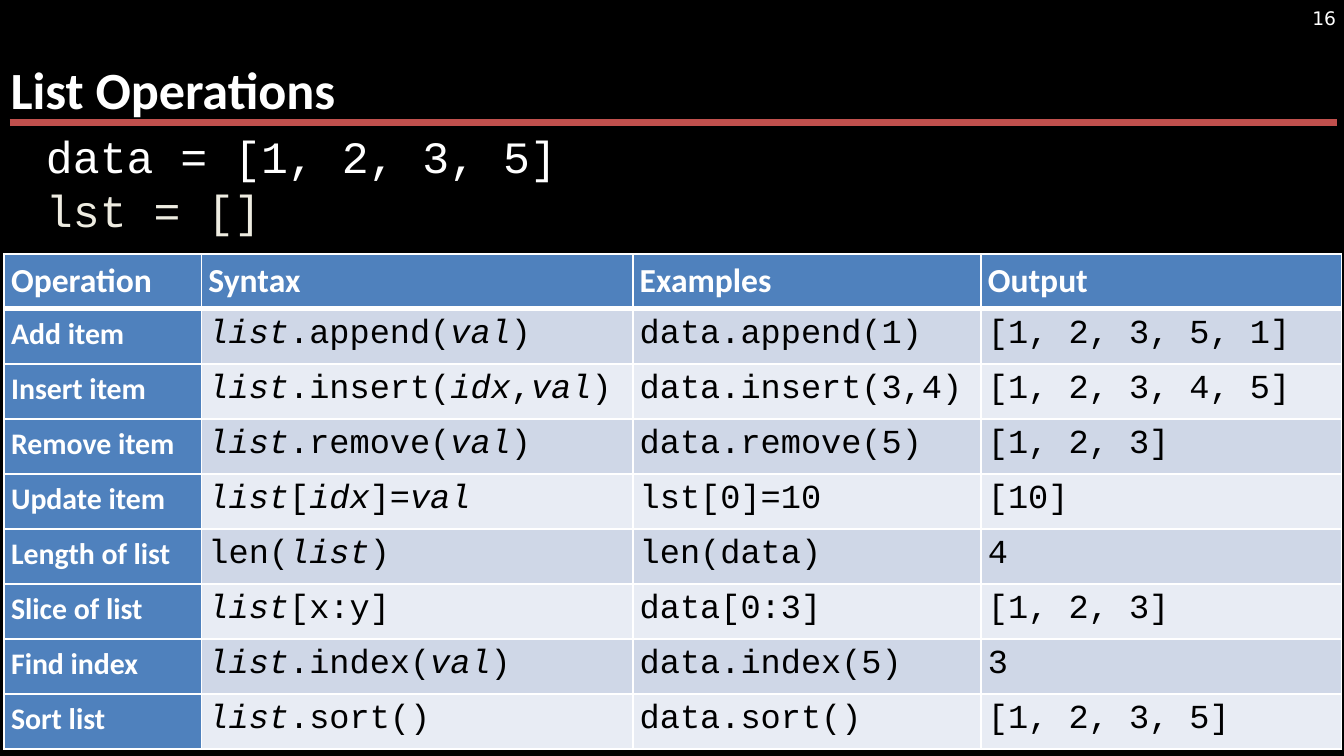
from lxml import etree
from pptx import Presentation
from pptx import util as u
from pptx.dml.color import RGBColor
from pptx.enum import shapes, text
from pptx.oxml import ns

BLACK = RGBColor(0x00, 0x00, 0x00)
WHITE = RGBColor(0xFF, 0xFF, 0xFF)
CREAM = RGBColor(0xEE, 0xEC, 0xE1)
RED = RGBColor(0xC0, 0x50, 0x4D)
BLUE = RGBColor(0x4F, 0x81, 0xBD)
BANDS = (RGBColor(0xE8, 0xEC, 0xF4), RGBColor(0xCF, 0xD7, 0xE7))


class ListSlide:
    """Style and drawing methods for one dark slide with a code table."""

    heading, code, number = "Calibri", "Courier New", "DejaVu Sans"
    inset = u.Cm(0.13)

    def __init__(self, deck):
        self.slide = deck.slides.add_slide(deck.slide_layouts[6])
        backdrop = self.slide.background.fill
        backdrop.solid()
        backdrop.fore_color.rgb = BLACK

    def run(self, paragraph, words, size, font, color, bold=False, italic=False):
        run = paragraph.add_run()
        run.text = words
        run.font.size = u.Pt(size)
        run.font.name = font
        run.font.color.rgb = color
        run.font.bold = bold
        run.font.italic = italic

    def label(self, box, lines, size, font, bold=False, inset=inset, wrap=True,
              anchor=text.MSO_ANCHOR.TOP, align=text.PP_ALIGN.LEFT, spacing=None):
        frame = self.slide.shapes.add_textbox(*map(u.Cm, box)).text_frame
        frame.word_wrap = wrap
        frame.vertical_anchor = anchor
        frame.margin_left = frame.margin_right = inset
        frame.margin_top = frame.margin_bottom = inset
        for index, (words, color) in enumerate(lines):
            paragraph = frame.add_paragraph() if index else frame.paragraphs[0]
            paragraph.alignment = align
            paragraph.line_spacing = spacing
            self.run(paragraph, words, size, font, color, bold)

    def rule(self, left, right, top, color, weight):
        line = self.slide.shapes.add_connector(
            shapes.MSO_CONNECTOR.STRAIGHT, u.Cm(left), u.Cm(top), u.Cm(right), u.Cm(top))
        line.line.color.rgb = color
        line.line.width = u.Pt(weight)
        etree.SubElement(line._element.spPr, ns.qn("a:effectLst"))

    def borders(self, cell, top, bottom):
        properties = cell._tc.get_or_add_tcPr()
        for side, weight in (("L", 1), ("R", 1), ("T", top), ("B", bottom)):
            edge = etree.SubElement(properties, ns.qn("a:ln" + side), w=str(u.Pt(weight)))
            fill = etree.SubElement(edge, ns.qn("a:solidFill"))
            etree.SubElement(fill, ns.qn("a:srgbClr"), val=str(WHITE))

    def cell(self, cell, words, row, column):
        header, title = row == 0, row == 0 or column == 0
        self.borders(cell, 3 if row == 1 and column else 1, 3 if header else 1)
        cell.fill.solid()
        cell.fill.fore_color.rgb = BLUE if title else BANDS[row % 2]
        cell.margin_left = cell.margin_right = self.inset
        cell.margin_top = cell.margin_bottom = self.inset
        paragraph = cell.text_frame.paragraphs[0]
        if title:
            self.run(paragraph, words, 18 if header else 16, self.heading, WHITE, bold=True)
            return
        for index, part in enumerate(words.split("*")):
            if part:
                self.run(paragraph, part, 18, self.code, BLACK, italic=index % 2 == 1)

    def table(self, left, top, widths, row_height, rows):
        table = self.slide.shapes.add_table(
            len(rows), len(widths), u.Cm(left), u.Cm(top),
            u.Cm(sum(widths)), u.Cm(row_height * len(rows))).table
        for column, width in zip(table.columns, widths):
            column.width = u.Cm(width)
        for r, row in enumerate(rows):
            table.rows[r].height = u.Cm(row_height)
            for c, words in enumerate(row):
                self.cell(table.cell(r, c), words, r, c)


OPERATIONS = [
    ("Operation", "Syntax", "Examples", "Output"),
    ("Add item", "*list*.append(*val*)", "data.append(1)", "[1, 2, 3, 5, 1]"),
    ("Insert item", "*list*.insert(*idx*,*val*)", "data.insert(3,4)", "[1, 2, 3, 4, 5]"),
    ("Remove item", "*list*.remove(*val*)", "data.remove(5)", "[1, 2, 3]"),
    ("Update item", "*list*[*idx*]=*val*", "lst[0]=10", "[10]"),
    ("Length of list", "len(*list*)", "len(data)", "4"),
    ("Slice of list", "*list*[x:y]", "data[0:3]", "[1, 2, 3]"),
    ("Find index", "*list*.index(*val*)", "data.index(5)", "3"),
    ("Sort list", "*list*.sort()", "data.sort()", "[1, 2, 3, 5]"),
]

deck = Presentation()
deck.slide_width, deck.slide_height = u.Cm(25.4), u.Cm(14.29)
page = ListSlide(deck)
page.rule(0.18, 25.27, 2.31, RED, 3.75)
page.label((24.64, 0, 0.74, 0.69), [("16", WHITE)], 10, page.number,
           wrap=False, align=text.PP_ALIGN.RIGHT)
page.label((0.2, 0, 24.97, 2.29), [("List Operations", WHITE)], 28, page.heading,
           bold=True, inset=0, anchor=text.MSO_ANCHOR.BOTTOM, spacing=0.89)
page.table(0.08, 4.8, (3.73, 8.15, 6.58, 6.81), 1.04, OPERATIONS)
page.label((0.74, 2.31, 23.14, 2.16),
           [("data = [1, 2, 3, 5]", WHITE), ("lst = []", CREAM)], 24, page.code)
deck.save("out.pptx")
